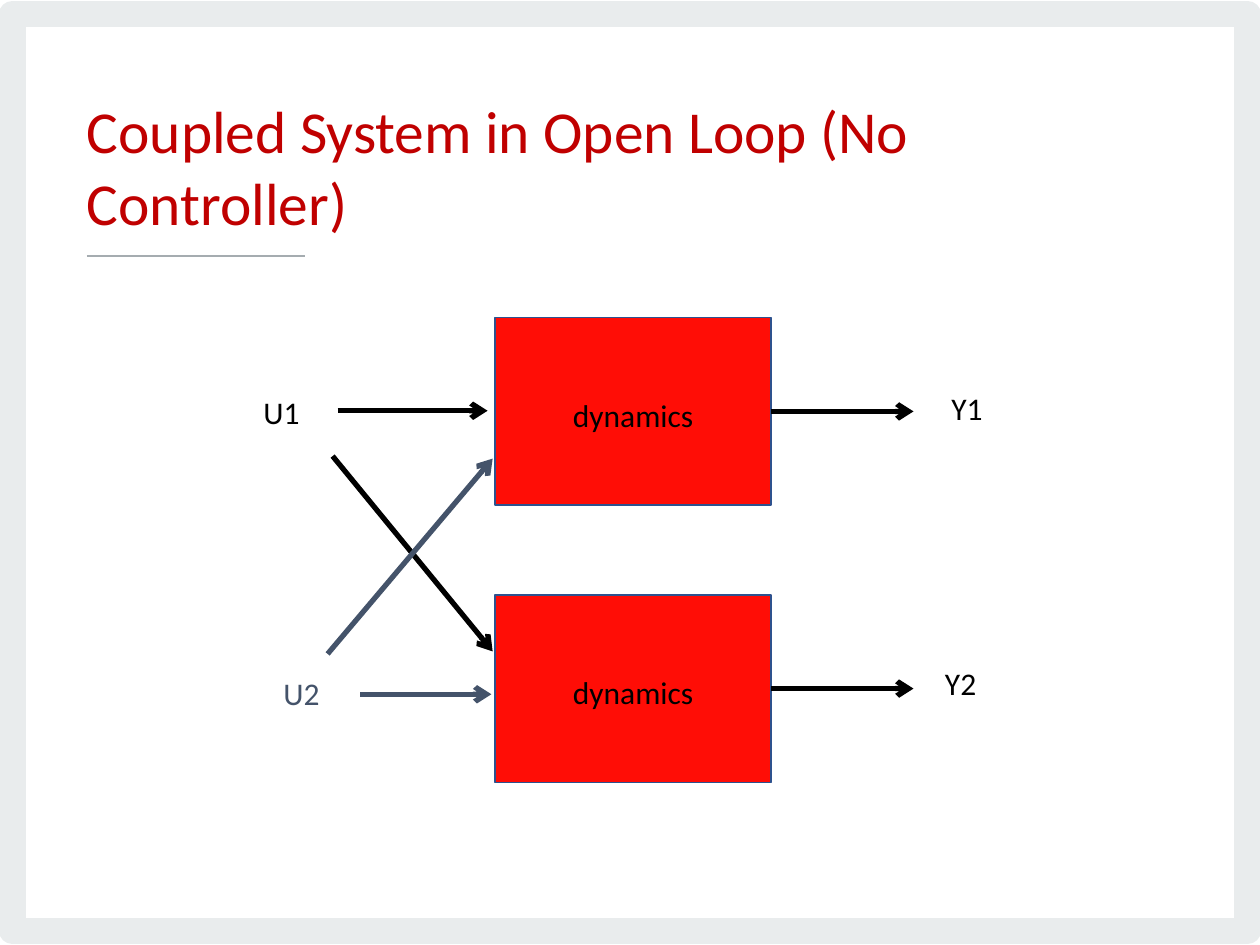
import pptx
import pptx.util
import pptx.dml.color
import pptx.enum.shapes
import pptx.enum.text
import pptx.oxml
from pptx.util import Inches

COLORS = {
    "frame": "E9ECED",
    "rule": "A5ACB0",
    "title": "C00000",
    "box": "FF0D06",
    "box_line": "2E528E",
    "first": "000000",
    "second": "44536A",
}
BOX_LEFT, BOX_WIDTH, BOX_HEIGHT = 3.93, 2.19, 1.49
OUTPUT_END = 7.25


def rgb(name):
    return pptx.dml.color.RGBColor.from_string(COLORS[name])


def set_line(sp, color, width):
    sp.line.color.rgb = rgb(color)
    sp.line.width = pptx.util.Pt(width)


def write(sp, text, size, color, top_inset=0):
    tf = sp.text_frame
    tf.margin_left = tf.margin_right = tf.margin_bottom = 0
    tf.margin_top = Inches(top_inset)
    tf.text = text
    font = tf.paragraphs[0].runs[0].font
    font.name = "Calibri"
    font.size = pptx.util.Pt(size)
    font.color.rgb = rgb(color)
    return tf


def add_text(s, text, left, top, width, height, size, color, top_inset=0, wrap=False):
    sp = s.shapes.add_textbox(Inches(left), Inches(top), Inches(width), Inches(height))
    write(sp, text, size, color, top_inset).word_wrap = wrap


def add_rectangle(s, left, top, width, height, fill, line, line_width):
    sp = s.shapes.add_shape(pptx.enum.shapes.MSO_SHAPE.RECTANGLE, Inches(left),
                            Inches(top), Inches(width), Inches(height))
    sp.shadow.inherit = False
    if fill:
        sp.fill.solid()
        sp.fill.fore_color.rgb = rgb(fill)
    else:
        sp.fill.background()
    set_line(sp, line, line_width)
    return sp


def add_line(s, x1, y1, x2, y2, color, width):
    cn = s.shapes.add_connector(pptx.enum.shapes.MSO_CONNECTOR.STRAIGHT,
                                Inches(x1), Inches(y1), Inches(x2), Inches(y2))
    set_line(cn, color, width)
    cn._element.spPr.append(pptx.oxml.parse_xml(
        f"<a:effectLst {pptx.oxml.ns.nsdecls('a')}/>"))
    return cn


def add_arrow(s, x1, y1, x2, y2, color):
    cn = add_line(s, x1, y1, x2, y2, color, 3)
    cn.line._get_or_add_ln().append(pptx.oxml.parse_xml(
        f"<a:tailEnd {pptx.oxml.ns.nsdecls('a')} type='arrow'/>"))
    return cn


def add_plant(s, top):
    """Add a dynamics box with its output arrow."""
    sp = add_rectangle(s, BOX_LEFT, top, BOX_WIDTH, BOX_HEIGHT, "box", "box_line", 1)
    tf = write(sp, "dynamics", 18, "first", 0.05)
    tf.vertical_anchor = pptx.enum.text.MSO_ANCHOR.MIDDLE
    tf.paragraphs[0].alignment = pptx.enum.text.PP_ALIGN.CENTER
    middle = top + BOX_HEIGHT / 2
    cn = add_arrow(s, BOX_LEFT + BOX_WIDTH, middle, OUTPUT_END, middle, "first")
    cn.begin_connect(sp, 3)


def main():
    prs = pptx.Presentation()
    prs.slide_width, prs.slide_height = Inches(10), Inches(7.5)
    s = prs.slides.add_slide(prs.slide_layouts[6])

    add_rectangle(s, 0.1, 0.11, 9.8, 7.28, None, "frame", 15.2)
    add_line(s, 0.69, 2.03, 2.42, 2.03, "rule", 1.4)
    add_text(s, "Coupled System in Open Loop (No Controller)",
             0.69, 0.72, 8.65, 1.07, 34, "title", top_inset=0.03, wrap=True)

    for top in (2.52, 4.72):
        add_plant(s, top)

    for text, left, top, color in (
        ("U1", 2.09, 3.12, "first"),
        ("U2", 2.25, 5.35, "second"),
        ("Y1", 7.55, 3.09, "first"),
        ("Y2", 7.5, 5.27, "first"),
    ):
        add_text(s, text, left, top, 0.3, 0.28, 18, color)

    for x1, y1, x2, y2, color in (
        (2.68, 3.26, 3.87, 3.26, "first"),
        (2.64, 3.62, 3.91, 5.17, "first"),
        (2.86, 5.51, 3.9, 5.51, "second"),
        (2.6, 5.19, 3.91, 3.64, "second"),
    ):
        add_arrow(s, x1, y1, x2, y2, color)

    prs.save("out.pptx")


if __name__ == "__main__":
    main()
